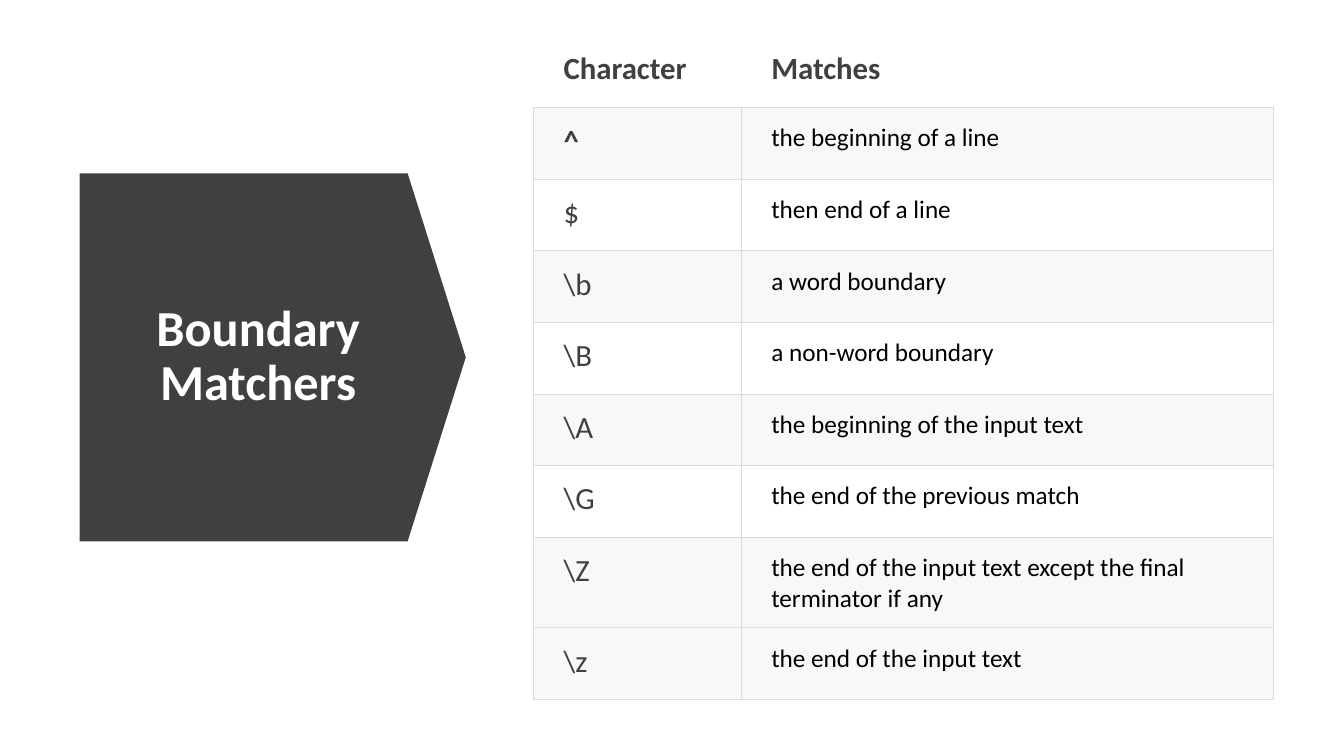
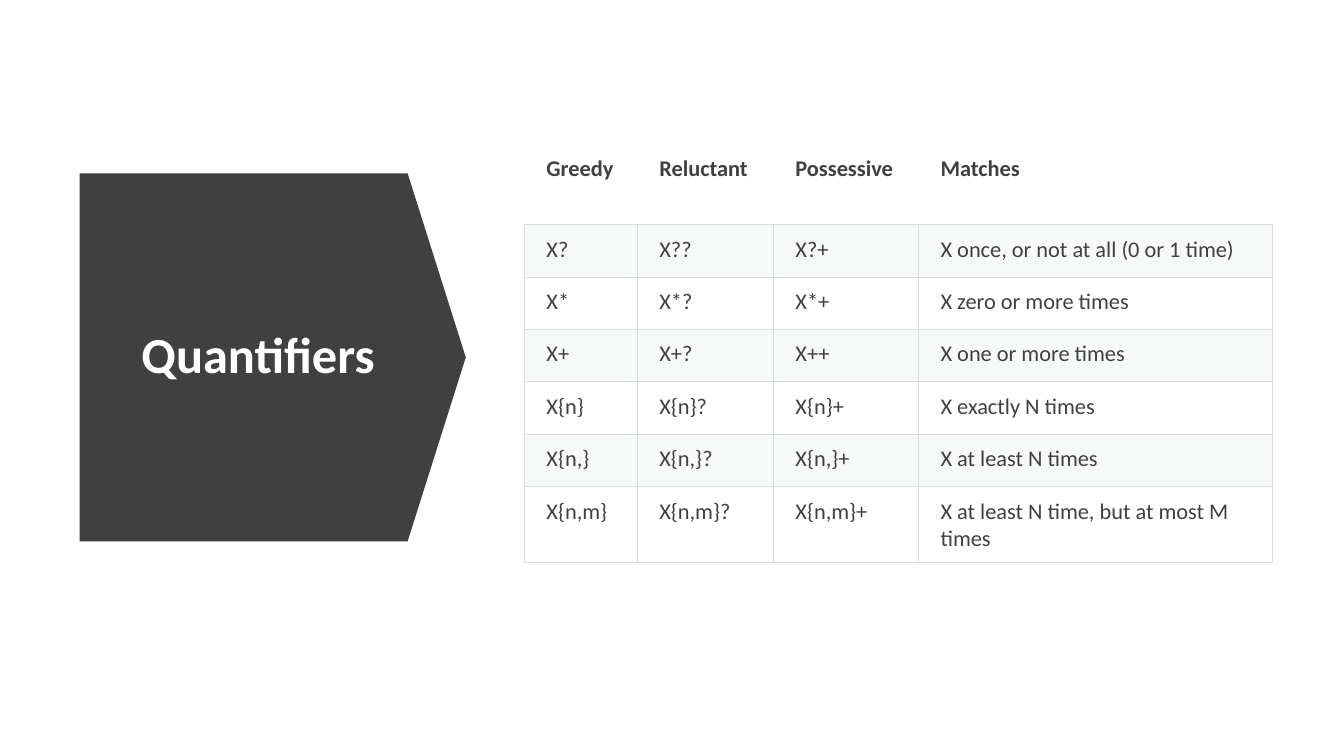
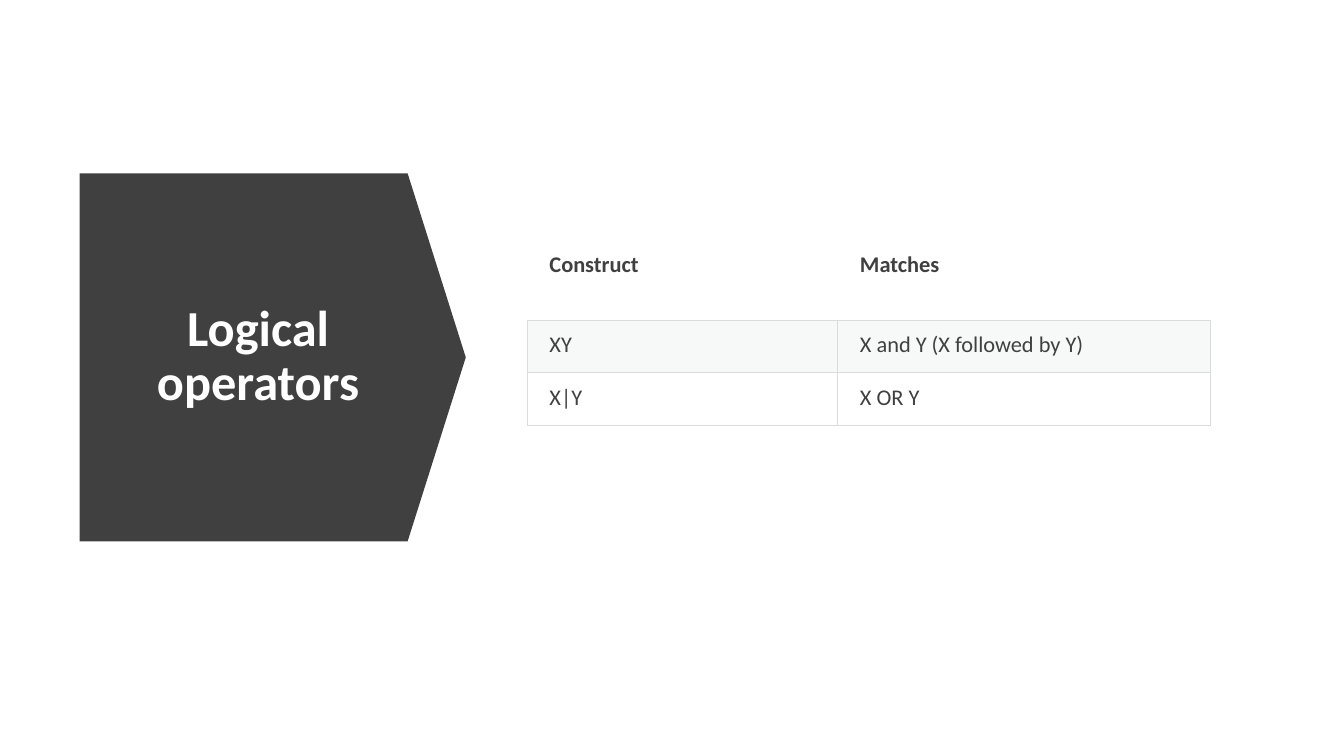
import collections

import lxml.etree
import pptx
import pptx.dml.color
import pptx.enum.shapes
import pptx.enum.text
import pptx.oxml.ns
import pptx.util

Inches = pptx.util.Inches
Pt = pptx.util.Pt
qn = pptx.oxml.ns.qn

Box = collections.namedtuple("Box", "left top width height")
Style = collections.namedtuple("Style", "size color bold")

COLORS = {"dark": "404040", "white": "FFFFFF", "black": "000000",
          "rule": "D8DCDC", "band": "D8DEDC"}
FONT = "Calibri"
BAND_ALPHA = 20000
RULE_WIDTH = 0.75
TITLE_BOX = Box(0.79, 1.72, 3.83, 3.65)
TITLE = Style(36, "white", True)


def rgb(name):
    """Return the palette colour with this name."""
    return pptx.dml.color.RGBColor.from_string(COLORS[name])


def set_all(target, values):
    """Set each named attribute of target."""
    for name, value in values.items():
        setattr(target, name, value)


def write(frame, text, style):
    """Write one styled paragraph into a text frame and return it."""
    para = frame.paragraphs[0]
    span = para.add_run()
    span.text = text
    set_all(span.font, {"name": FONT, "size": Pt(style.size), "bold": style.bold})
    span.font.color.rgb = rgb(style.color)
    return para


def add_title(page, text, box):
    """Fill the box with a right-pointing arrow and set the title on it."""
    # The arrow points down before its quarter turn, so its sides are swapped.
    shift = (box.width - box.height) / 2
    arrow = page.shapes.add_shape(
        pptx.enum.shapes.MSO_SHAPE.DOWN_ARROW,
        Inches(box.left + shift), Inches(box.top - shift),
        Inches(box.height), Inches(box.width))
    arrow.rotation = 270
    arrow.adjustments[0] = 1
    arrow.adjustments[1] = 0.158
    arrow.shadow.inherit = False
    arrow.fill.solid()
    arrow.fill.fore_color.rgb = rgb("dark")
    arrow.line.fill.background()

    label = page.shapes.add_textbox(
        Inches(box.left + 0.33), Inches(box.top + 0.43), Inches(2.88), Inches(2.79))
    set_all(label.text_frame, {
        "word_wrap": True,
        "vertical_anchor": pptx.enum.text.MSO_ANCHOR.MIDDLE})
    para = write(label.text_frame, text, TITLE)
    set_all(para, {"alignment": pptx.enum.text.PP_ALIGN.CENTER, "line_spacing": 0.9})


def set_borders(cell, ruled):
    """Rule the sides named in ruled (of L, R, T, B) and clear the others."""
    properties = cell._tc.get_or_add_tcPr()
    for side in "LRTB":
        line = lxml.etree.SubElement(
            properties, qn("a:ln" + side), w=str(Pt(RULE_WIDTH)))
        if side in ruled:
            paint = lxml.etree.SubElement(line, qn("a:solidFill"))
            lxml.etree.SubElement(paint, qn("a:srgbClr"), val=COLORS["rule"])
        else:
            lxml.etree.SubElement(line, qn("a:noFill"))


def set_fill(cell, banded):
    """Give the cell a translucent band, or no fill."""
    if not banded:
        cell.fill.background()
        return
    cell.fill.solid()
    cell.fill.fore_color.rgb = rgb("band")
    color = cell._tc.tcPr.find(qn("a:solidFill")).find(qn("a:srgbClr"))
    lxml.etree.SubElement(color, qn("a:alpha"), val=str(BAND_ALPHA))


def add_grid(page, rows, left, top, widths, heights, inset, style_at, banded):
    """Place a table with an open header row; heights are (header, body)."""
    header, body = heights
    box = Box(left, top, sum(widths), header + body * (len(rows) - 1))
    table = page.shapes.add_table(
        len(rows), len(widths), *(Inches(length) for length in box)).table
    set_all(table, {"first_row": False, "horz_banding": False})
    for column, width in zip(table.columns, widths):
        column.width = Inches(width)
    margins = {"margin_left": Inches(inset * 2), "margin_top": Inches(inset),
               "margin_right": Inches(inset), "margin_bottom": Inches(inset)}
    for i, texts in enumerate(rows):
        table.rows[i].height = Inches(body if i else header)
        for j, text in enumerate(texts):
            cell = table.cell(i, j)
            set_all(cell, margins)
            set_borders(cell, "LRTB" if i else "B")
            set_fill(cell, i in banded)
            write(cell.text_frame, text, style_at(i, j))


def boundary_style(i, j):
    """Large symbols beside smaller black descriptions."""
    if i and j:
        return Style(18, "black", False)
    return Style(22, "dark", i < 2)


def compact_style(i, j):
    """One small size throughout, with a bold header."""
    return Style(16, "dark", i == 0)


COMPACT = {"heights": (0.8, 0.52), "inset": 0.11,
           "style_at": compact_style, "banded": (1, 3, 5)}

SLIDES = [
    ("Boundary Matchers", {
        "left": 5.29, "top": 0.35, "widths": (2.06, 5.28),
        "heights": (0.72, 0.71), "inset": 0.15,
        "style_at": boundary_style, "banded": (1, 3, 5, 7, 8),
        "rows": [
            ("Character", "Matches"),
            ("^", "the beginning of a line"),
            ("$", "then end of a line"),
            ("\\b", "a word boundary"),
            ("\\B", "a non-word boundary"),
            ("\\A", "the beginning of the input text"),
            ("\\G", "the end of the previous match"),
            ("\\Z", "the end of the input text except the final terminator if any"),
            ("\\z", "the end of the input text"),
        ]}),
    ("Quantifiers", {
        **COMPACT, "left": 5.2, "top": 1.43, "widths": (1.12, 1.35, 1.44, 3.51),
        "rows": [("Greedy", "Reluctant", "Possessive", "Matches")] + [
            (greedy, greedy + "?", greedy + "+", meaning)
            for greedy, meaning in [
                ("X?", "X once, or not at all (0 or 1 time)"),
                ("X*", "X zero or more times"),
                ("X+", "X one or more times"),
                ("X{n}", "X exactly N times"),
                ("X{n,}", "X at least N times"),
                ("X{n,m}", "X at least N time, but at most M times"),
            ]]}),
    ("Logical operators", {
        **COMPACT, "left": 5.23, "top": 2.38, "widths": (3.08, 3.7),
        "rows": [
            ("Construct", "Matches"),
            ("XY", "X and Y (X followed by Y)"),
            ("X|Y", "X OR Y"),
        ]}),
]


def build():
    """Build and save the deck."""
    deck = pptx.Presentation()
    set_all(deck, {"slide_width": Inches(13.33), "slide_height": Inches(7.5)})
    for title, grid in SLIDES:
        page = deck.slides.add_slide(deck.slide_layouts[6])
        add_title(page, title, TITLE_BOX)
        add_grid(page, **grid)
    deck.save("out.pptx")


build()
